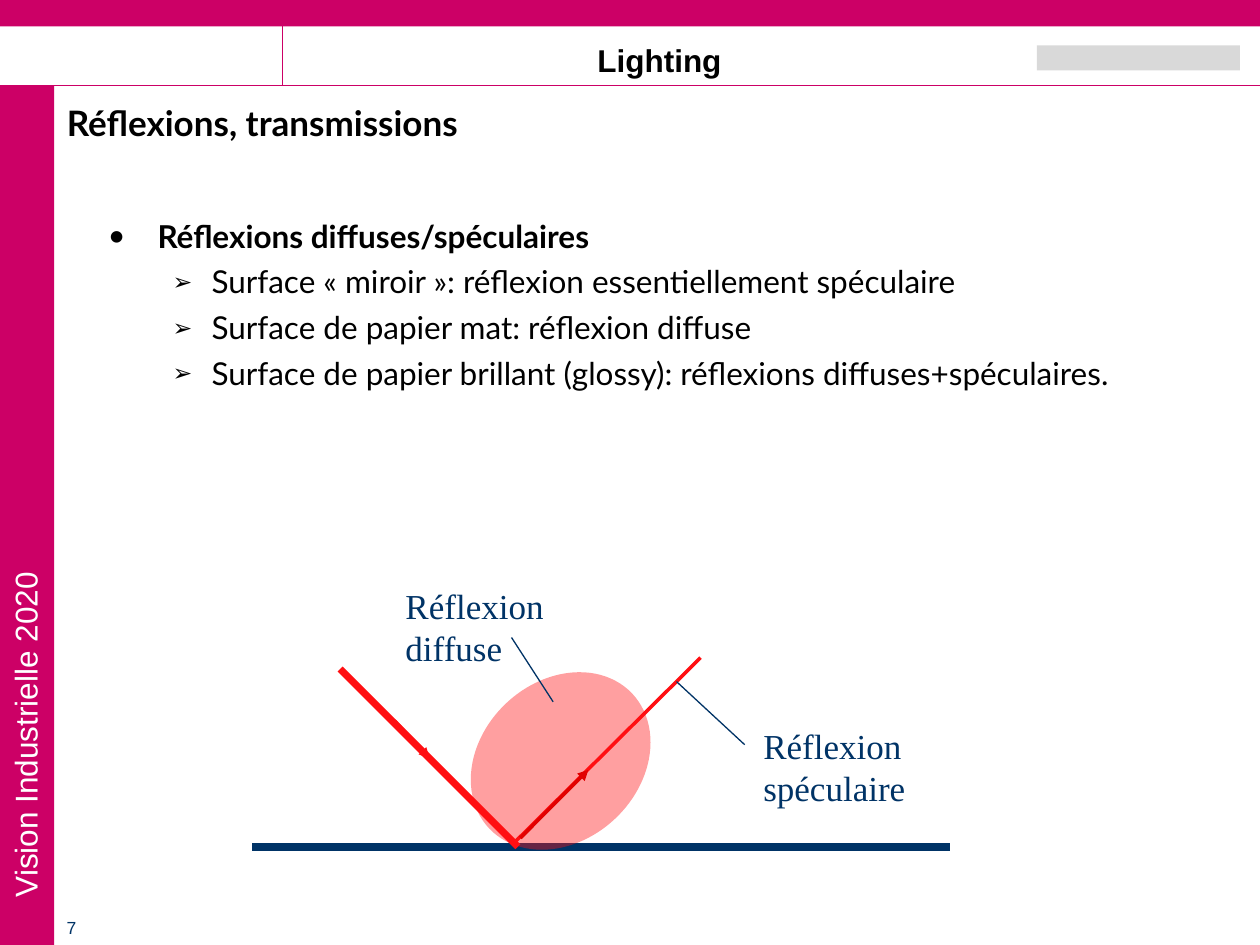
from dataclasses import dataclass

from lxml.etree import SubElement
from pptx import Presentation
from pptx.dml.color import RGBColor
from pptx.enum.shapes import MSO_CONNECTOR, MSO_SHAPE
from pptx.enum.text import MSO_ANCHOR, MSO_AUTO_SIZE, PP_ALIGN
from pptx.oxml.ns import qn
from pptx.util import Inches, Pt


@dataclass(frozen=True)
class Theme:
    magenta: str = "CC0066"
    navy: str = "003366"
    beam: str = "FF0F12"
    dark_beam: str = "E10000"
    emblem: str = "D9D9D9"
    black: str = "000000"
    white: str = "FFFFFF"
    frame_font: str = "Arial"
    body_font: str = "Lato"
    label_font: str = "Times New Roman"
    title_size: int = 20
    body_size: int = 18
    label_size: int = 20
    number_size: int = 10


THEME = Theme()


def format_runs(para, font, size, color, bold=False):
    for span in para.runs:
        span.font.name = font
        span.font.size = Pt(size)
        span.font.bold = bold
        span.font.color.rgb = RGBColor.from_string(color)


def place(shape, left, top, width, height):
    shape.left, shape.top = Inches(left), Inches(top)
    shape.width, shape.height = Inches(width), Inches(height)


def add_block(page, kind, left, top, width, height, color):
    block = page.shapes.add_shape(kind, Inches(left), Inches(top), Inches(width), Inches(height))
    block.shadow.inherit = False
    block.fill.solid()
    block.fill.fore_color.rgb = RGBColor.from_string(color)
    block.line.fill.background()
    return block


def add_line(page, start, end, color, width, arrow=False):
    points = [Inches(value) for value in (*start, *end)]
    line = page.shapes.add_connector(MSO_CONNECTOR.STRAIGHT, *points)
    line.line.color.rgb = RGBColor.from_string(color)
    line.line.width = Pt(width)
    if arrow:
        SubElement(line.line._get_or_add_ln(), qn("a:tailEnd"), type="triangle")
    SubElement(line._element.spPr, qn("a:effectLst"))


def add_text(page, text, left, top, width, height, font, size, color,
             bold=False, align=PP_ALIGN.LEFT):
    box = page.shapes.add_textbox(Inches(left), Inches(top), Inches(width), Inches(height))
    box.text_frame.word_wrap = True
    box.text_frame.text = text
    para = box.text_frame.paragraphs[0]
    para.alignment = align
    format_runs(para, font, size, color, bold)
    return box


def add_bullet(para, char, margin, hanging):
    props = para._p.get_or_add_pPr()
    props.set("marL", str(Inches(margin)))
    props.set("indent", str(-Inches(hanging)))
    color = SubElement(props, qn("a:buClr"))
    SubElement(color, qn("a:srgbClr"), val=THEME.black)
    SubElement(props, qn("a:buSzPct"), val="75000")
    SubElement(props, qn("a:buFont"), typeface=THEME.body_font)
    SubElement(props, qn("a:buChar"), char=char)


def build_frame(page, width, height):
    """Coloured bands, rules and running texts around the page."""
    band, header, side = 0.21, 0.68, 0.43
    add_block(page, MSO_SHAPE.RECTANGLE, 0, header, side, height - header, THEME.magenta)
    add_block(page, MSO_SHAPE.RECTANGLE, 0, 0, width, band, THEME.magenta)
    add_line(page, (0, header), (width, header), THEME.magenta, 0.75)
    add_line(page, (2.24, header), (2.24, 0), THEME.magenta, 0.75)

    # Plain block where the emblem sits
    add_block(page, MSO_SHAPE.RECTANGLE, width - 1.77, 0.36, 1.61, 0.2, THEME.emblem)

    course = add_text(page, "Vision Industrielle 2020", -1.85, 4.97, 4.1, 0.4,
                      THEME.frame_font, THEME.body_size, THEME.white)
    course.rotation = 270
    add_text(page, "7", side, height - 0.27, 0.47, 0.27,
             THEME.frame_font, THEME.number_size, THEME.navy)
    add_text(page, "Lighting", 2.32, 0.28, 5.83, 0.4, THEME.frame_font,
             THEME.body_size, THEME.black, bold=True, align=PP_ALIGN.CENTER)


def build_title(title, left, top, width, height):
    place(title, left, top, width, height)
    frame = title.text_frame
    frame.text = "Réflexions, transmissions"
    frame.auto_size = MSO_AUTO_SIZE.NONE
    frame.vertical_anchor = MSO_ANCHOR.MIDDLE
    para = frame.paragraphs[0]
    para.alignment = PP_ALIGN.LEFT
    para.line_spacing = 0.9
    format_runs(para, THEME.body_font, THEME.title_size, THEME.black, bold=True)


def build_body(body, left, top, width, height):
    place(body, left, top, width, height)
    items = [
        ("Réflexions diffuses/spéculaires", 0),
        ("Surface «\u00a0miroir\u00a0»: réflexion essentiellement spéculaire", 1),
        ("Surface de papier mat: réflexion diffuse", 1),
        ("Surface de papier brillant (glossy): réflexions diffuses+spéculaires.", 1),
    ]
    bullets = [("●", 0.38, 0.38), ("➢", 0.81, 0.31)]
    frame = body.text_frame
    frame.auto_size = MSO_AUTO_SIZE.NONE
    for index, (text, level) in enumerate(items):
        para = frame.add_paragraph() if index else frame.paragraphs[0]
        para.text = text
        para.level = level
        para.space_before = Pt(4.5 if index else 0)
        add_bullet(para, *bullets[level])
        format_runs(para, THEME.body_font, THEME.body_size, THEME.black, bold=level == 0)


def build_diagram(page, left, top, width, height):
    """Light beam on a surface, with its diffuse and specular reflections."""
    def at(x, y):
        return left + x, top + y

    # Surface and main beams
    add_line(page, at(0, height), at(width, height), THEME.navy, 4.5)
    add_line(page, at(0.7, 0.72), at(2.11, height), THEME.beam, 4)
    add_line(page, at(2.07, 2.11), at(3.56, 0.63), THEME.beam, 2)
    add_line(page, at(1.13, 1.13), at(1.41, 1.43), THEME.beam, 2, arrow=True)

    # Diffuse lobe, 40 % opaque
    lobe = add_block(page, MSO_SHAPE.OVAL, *at(1.82, 0.67), 1.26, 1.56, THEME.beam)
    lobe.rotation = 46.7
    fill_color = lobe._element.spPr.find(qn("a:solidFill"))[0]
    SubElement(fill_color, qn("a:alpha"), val="40000")
    add_line(page, at(2.13, 2.06), at(2.67, 1.52), THEME.dark_beam, 2, arrow=True)

    # Leaders and labels
    add_line(page, at(2.39, 0.98), at(2.06, 0.47), THEME.navy, 0.75)
    add_line(page, at(3.37, 0.82), at(3.91, 1.32), THEME.navy, 0.75)
    for text, x, y in [("Réflexion diffuse", 1.12, 0), ("Réflexion spéculaire", 3.96, 1.11)]:
        add_text(page, text, *at(x, y), 1.8, 0.75,
                 THEME.label_font, THEME.label_size, THEME.navy)


def main():
    deck = Presentation()
    deck.slide_width, deck.slide_height = Inches(10), Inches(7.5)
    page = deck.slides.add_slide(deck.slide_layouts[1])
    build_frame(page, 10, 7.5)
    build_title(page.shapes.title, 0.43, 0.76, 9.45, 0.47)
    build_body(page.placeholders[1], 0.77, 1.67, 8.5, 5)
    build_diagram(page, 2, 4.59, 5.54, 2.13)
    deck.save("out.pptx")


if __name__ == "__main__":
    main()
